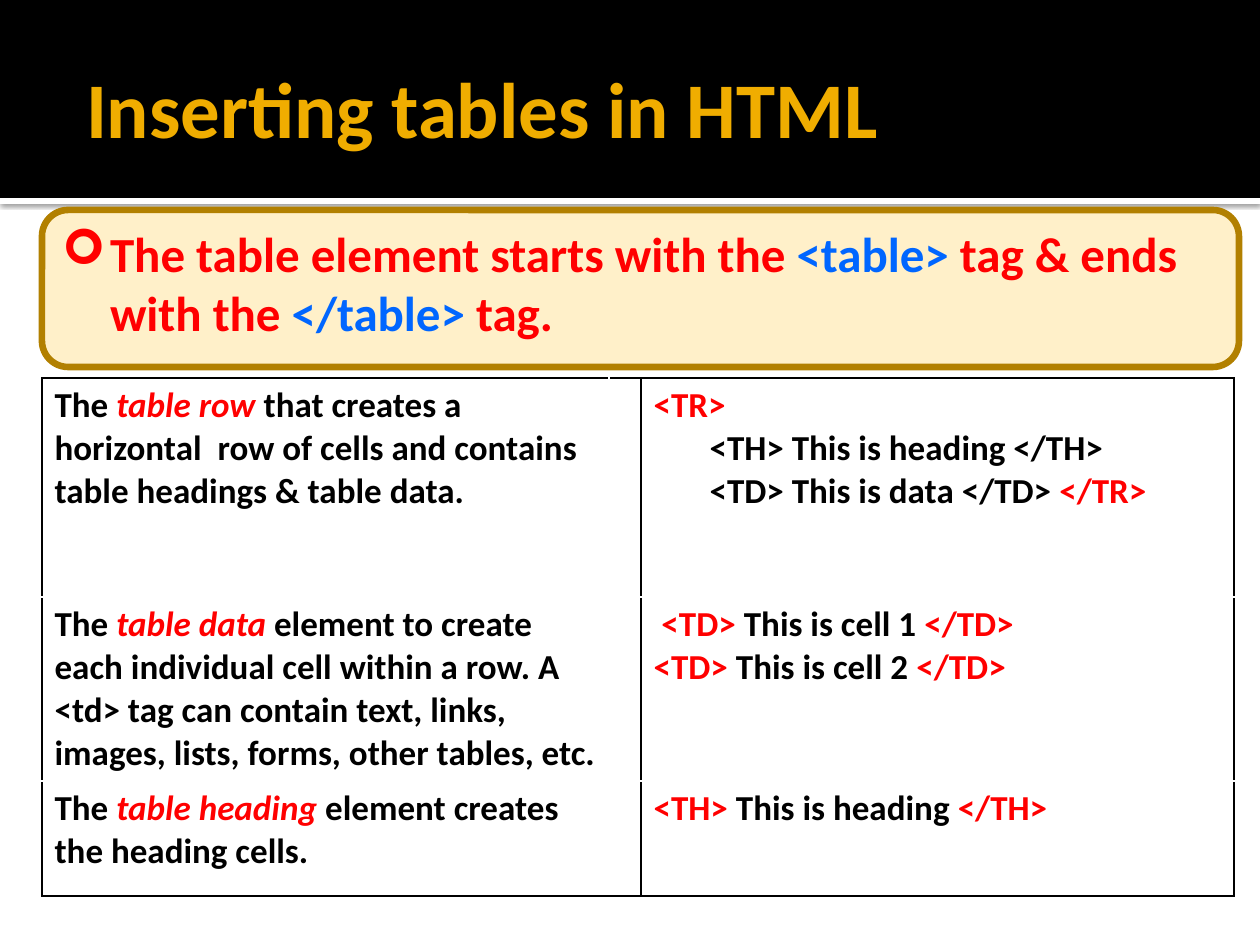
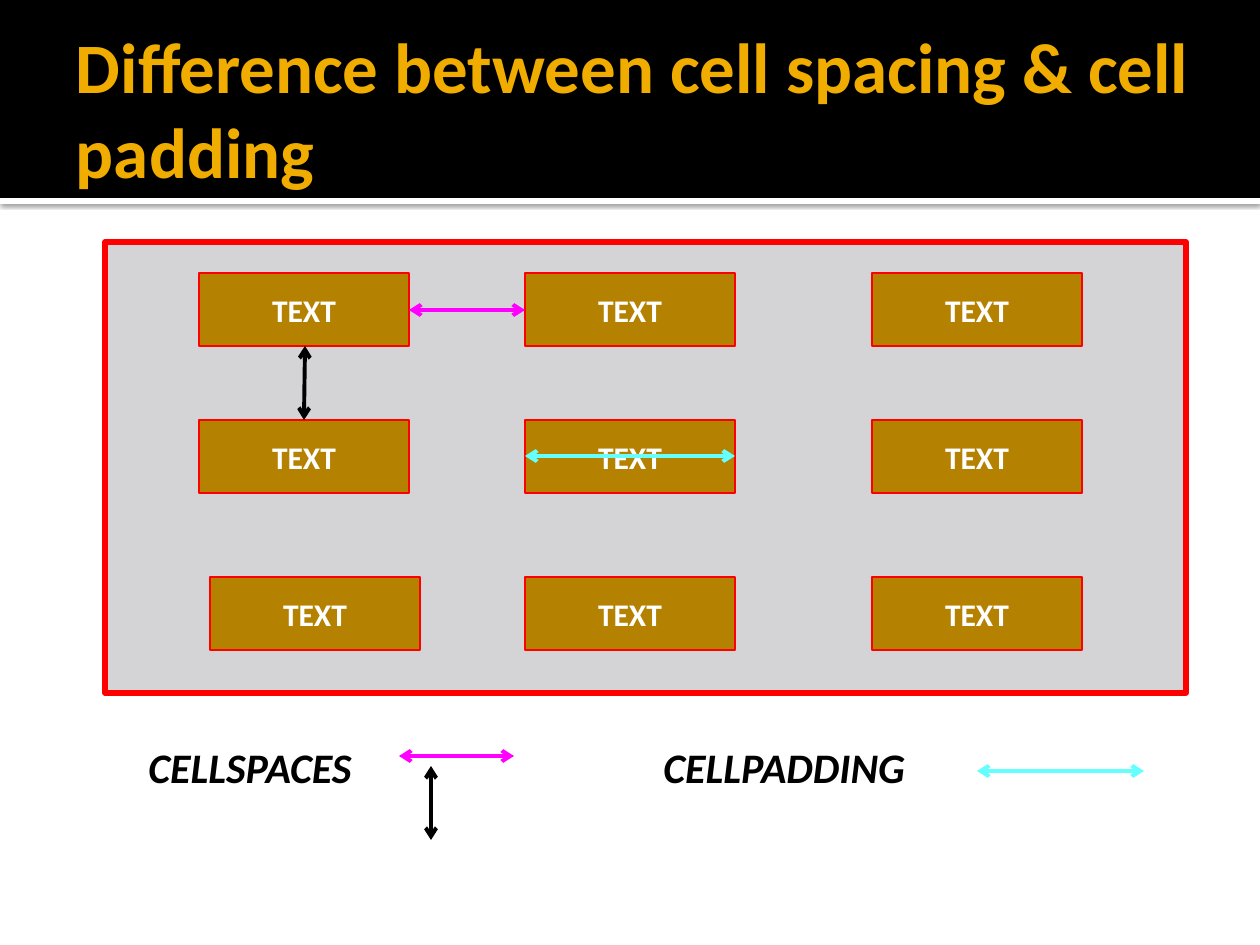
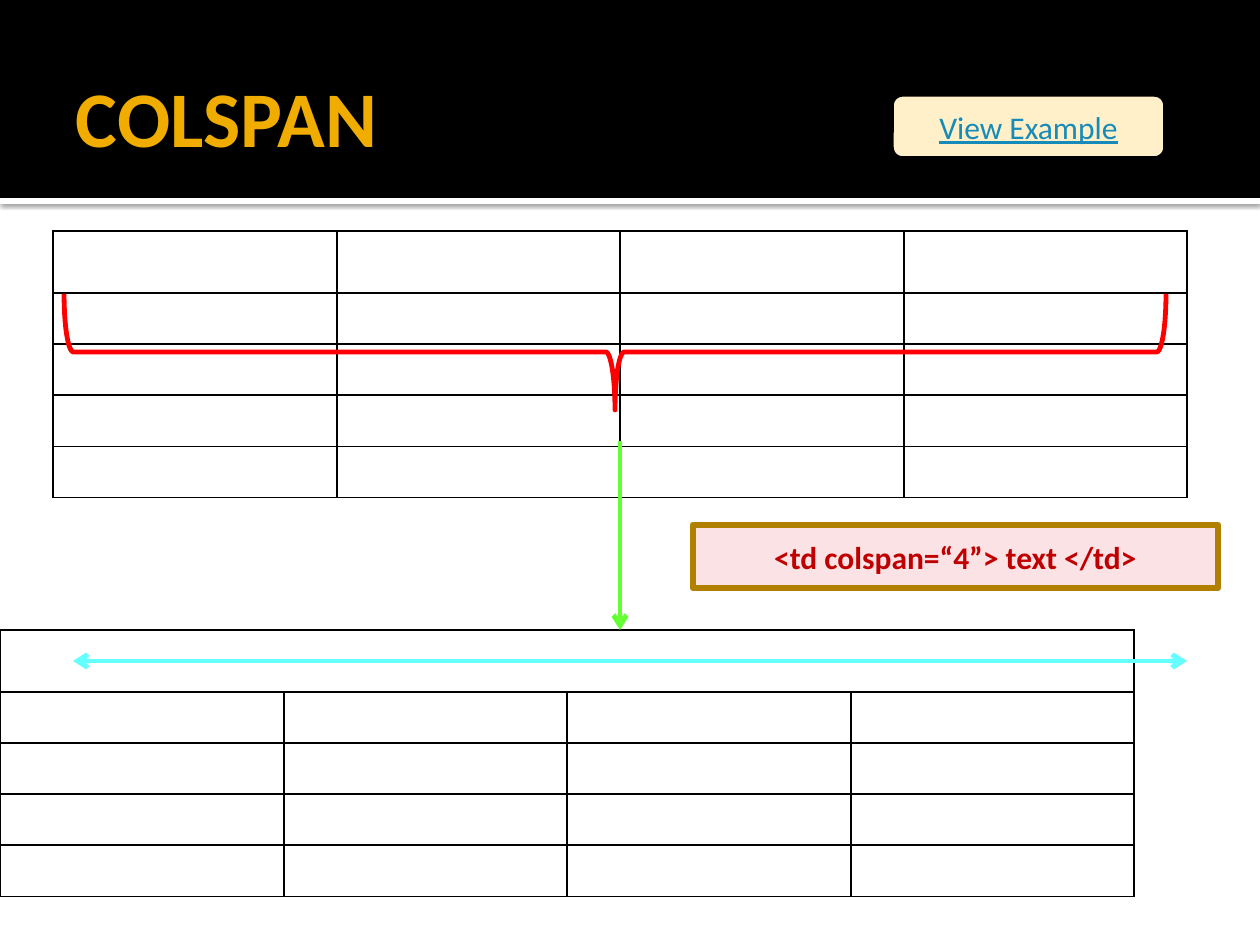
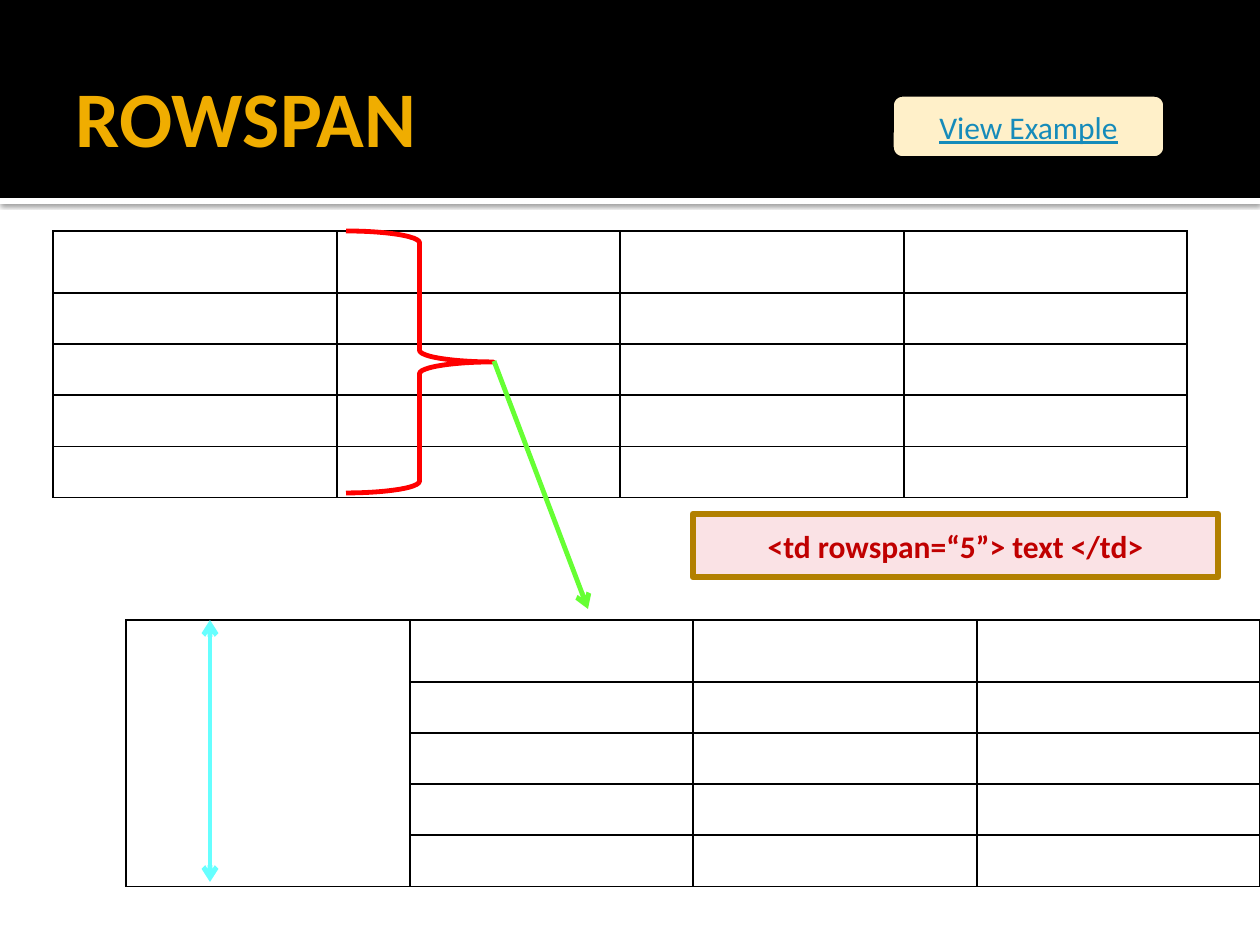
from lxml import etree
from pptx import Presentation
from pptx.dml.color import RGBColor
from pptx.enum.shapes import MSO_CONNECTOR, MSO_SHAPE
from pptx.enum.text import MSO_ANCHOR, MSO_AUTO_SIZE, PP_ALIGN
from pptx.oxml import parse_xml
from pptx.oxml.ns import nsdecls, qn
from pptx.util import Emu, Pt

RECT, ROUND, BRACE = MSO_SHAPE.RECTANGLE, MSO_SHAPE.ROUNDED_RECTANGLE, MSO_SHAPE.RIGHT_BRACE
STRAIGHT = MSO_CONNECTOR.STRAIGHT
LEFT, CENTER = PP_ALIGN.LEFT, PP_ALIGN.CENTER
TOP, MIDDLE = MSO_ANCHOR.TOP, MSO_ANCHOR.MIDDLE
NO_AUTOFIT = MSO_AUTO_SIZE.NONE

FONT = "Calibri"
COLORS = {
    "black": "000000", "white": "FFFFFF", "title": "F0AD00", "red": "FF0000",
    "blue": "0066FF", "cream": "FFF0C9", "bronze": "B28000", "cell": "B48200",
    "grey": "D4D4D6", "magenta": "FF00FF", "cyan": "66FFFF", "green": "66FF33",
    "link": "168BBA", "pink": "FAE2E5", "code": "C00000",
}
PX_PER_INCH = 126
PAGE = (1260, 945)
BAND_HEIGHT = 198
STRIPE_HEIGHT = 6

INTRO = [("The table element starts with the ", "red"), ("<table> ", "blue"),
         ("tag & ends with the ", "red"), ("</table> ", "blue"), ("tag.", "red")]

TAG_COLUMNS = (567, 32, 593)
TAG_ROWS = (219, 184, 115)
TAG_CELLS = [
    ([[("The ",), ("table row ", "red", True),
       ("that creates a horizontal  row of cells and contains table headings & table data.",)]],
     [[("<TR>", "red")],
      [("<TH> This is heading </TH>",)],
      [("<TD> This is data </TD> ",), ("</TR>", "red")]]),
    ([[("The ",), ("table data ", "red", True),
       ("element to create each individual cell within a row. A <td> tag can contain text, "
        "links, images, lists, forms, other tables, etc.",)]],
     [[(" <TD> ", "red"), ("This is cell 1 ",), ("</TD>", "red")],
      [("<TD> ", "red"), ("This is cell 2 ",), ("</TD>", "red")]]),
    ([[("The ",), ("table heading ", "red", True), ("element creates the heading cells.",)]],
     [[("<TH> ", "red"), ("This is heading ",), ("</TH>", "red")]]),
]
NESTED_LINES = (1, 2)
NESTED_INDENT = 56

CELL_SIZE = (210, 73)
CELL_LEFTS = (199, 525, 872)
CELL_TOPS = (273, 420, 577)
LAST_ROW_SHIFT = 11
SPACING_ARROWS = [
    ((409, 310), (525, 310), "magenta"),
    ((305, 346), (304, 420), "black"),
    ((399, 756), (514, 756), "magenta"),
    ((431, 766), (431, 840), "black"),
    ((525, 456), (735, 456), "cyan"),
    ((977, 771), (1144, 771), "cyan"),
]
LEGEND = [("CELLSPACES", 136), ("CELLPADDING", 651)]

GRID_COLUMNS = (284, 283, 284, 283)
GRID_ROWS = (62, 51, 51, 51, 51)
SPANS = [
    {"title": "COLSPAN", "code": "<td colspan=“4”> text </td>", "code_top": 525,
     "grid": (0, 630), "merge_to": (0, 3), "brace": (557, -199, 116, 1102), "turn": 90,
     "pointer": ((620, 441), (620, 630)), "extent": ((73, 661), (1187, 661))},
    {"title": "ROWSPAN", "code": "<td rowspan=“5”> text </td>", "code_top": 514,
     "grid": (126, 620), "merge_to": (4, 0), "brace": (346, 231, 147, 262), "turn": 0,
     "pointer": ((494, 361), (588, 609)), "extent": ((210, 882), (210, 620))},
]


def px(length):
    return Emu(round(length * 914400 / PX_PER_INCH))


def color(name):
    return RGBColor.from_string(COLORS[name])


def write(frame, paragraphs, size=18, tint="black", bold=True, italic=False,
          underline=None, align=LEFT, anchor=TOP):
    frame.word_wrap = True
    frame.vertical_anchor = anchor
    for index, spans in enumerate(paragraphs):
        para = frame.paragraphs[0] if index == 0 else frame.add_paragraph()
        para.alignment = align
        for words, span_tint, span_italic in (
                (span + (tint, italic)[len(span) - 1:]) for span in spans):
            span = para.add_run()
            span.text = words
            font = span.font
            font.name, font.size = FONT, Pt(size)
            font.bold, font.italic, font.underline = bold, span_italic, underline
            font.color.rgb = color(span_tint)


def indent(para, left, first=0, bullet=None):
    properties = para._p.get_or_add_pPr()
    properties.set("marL", str(px(left)))
    properties.set("indent", str(px(first)))
    if bullet:
        etree.SubElement(properties, qn("a:buFont")).set("typeface", "Wingdings")
        etree.SubElement(properties, qn("a:buChar")).set("char", bullet)


def add_box(page, kind, at, fill=None, line=None, width=1):
    box = page.shapes.add_shape(kind, *map(px, at))
    box.shadow.inherit = False
    if fill:
        box.fill.solid()
        box.fill.fore_color.rgb = color(fill)
    else:
        box.fill.background()
    if line:
        box.line.color.rgb = color(line)
        box.line.width = Pt(width)
    else:
        box.line.fill.background()
    return box


def add_arrow(page, start, end, tint, width, ends=("headEnd", "tailEnd")):
    arrow = page.shapes.add_connector(STRAIGHT, *map(px, start + end))
    arrow.line.color.rgb = color(tint)
    arrow.line.width = Pt(width)
    outline = arrow.line._get_or_add_ln()
    for end_name in ends:
        etree.SubElement(outline, qn("a:" + end_name)).set("type", "arrow")
    etree.SubElement(arrow._element.spPr, qn("a:effectLst"))


def style_cell(cell, left="black", right="black", top="black", bottom="black"):
    properties = cell._tc.get_or_add_tcPr()
    for side, tint in zip("LRTB", (left, right, top, bottom)):
        properties.append(parse_xml(
            f'<a:ln{side} {nsdecls("a")} w="12700"><a:solidFill>'
            f'<a:srgbClr val="{COLORS[tint]}"/></a:solidFill></a:ln{side}>'))
    cell.fill.solid()
    cell.fill.fore_color.rgb = color("white")


def add_grid(page, left, top, columns, rows):
    grid = page.shapes.add_table(len(rows), len(columns), px(left), px(top),
                                 px(sum(columns)), px(sum(rows))).table
    grid.first_row = grid.horz_banding = False
    for column, width in zip(grid.columns, columns):
        column.width = px(width)
    for row, height in zip(grid.rows, rows):
        row.height = px(height)
    return grid


def add_plain_grid(page, left, top):
    grid = add_grid(page, left, top, GRID_COLUMNS, GRID_ROWS)
    for cell in grid.iter_cells():
        style_cell(cell)
    return grid


def add_page(deck, title, at, size=45):
    page = deck.slides.add_slide(deck.slide_layouts[5])
    heading = page.shapes.title
    heading.left, heading.top, heading.width, heading.height = map(px, at)
    frame = heading.text_frame
    frame.auto_size = NO_AUTOFIT
    frame.margin_left = px(13)
    frame.margin_top = frame.margin_right = frame.margin_bottom = px(6)
    write(frame, [[(title,)]], size=size, tint="title", anchor=MIDDLE)
    return page


def move_band_to_layout(page):
    stripe = add_box(page, RECT, (0, BAND_HEIGHT, PAGE[0], STRIPE_HEIGHT), "white")
    effects = stripe._element.spPr.find(qn("a:effectLst"))
    effects.append(parse_xml(
        f'<a:outerShdw {nsdecls("a")} blurRad="31750" dist="10160" dir="5400000">'
        f'<a:srgbClr val="{COLORS["black"]}"><a:alpha val="60000"/></a:srgbClr></a:outerShdw>'))
    band = add_box(page, RECT, (0, 0, PAGE[0], BAND_HEIGHT), "black")
    tree = page.slide_layout.shapes.element
    for position, shape in enumerate((stripe, band), start=2):
        tree.insert(position, shape._element)


def build_tags(deck):
    page = add_page(deck, "Inserting tables in HTML", (73, 21, 1134, 173))
    move_band_to_layout(page)
    intro = add_box(page, ROUND, (42, 210, 1197, 157), "cream", "bronze", 3.78)
    write(intro.text_frame, [INTRO], size=28)
    indent(intro.text_frame.paragraphs[0], 48, -48, "➢")
    grid = add_grid(page, 42, 378, TAG_COLUMNS, TAG_ROWS)
    last = len(TAG_ROWS) - 1
    for row, (meaning, example) in enumerate(TAG_CELLS):
        for column in range(len(TAG_COLUMNS)):
            style_cell(grid.cell(row, column),
                       left="white" if column == 1 else "black",
                       right="white" if column == 0 else "black",
                       top="black" if row == 0 else "white",
                       bottom="black" if row == last else "white")
        write(grid.cell(row, 0).text_frame, meaning, size=20)
        write(grid.cell(row, 2).text_frame, example, size=20)
    for line in NESTED_LINES:
        indent(grid.cell(0, 2).text_frame.paragraphs[line], NESTED_INDENT)


def build_spacing(deck):
    page = add_page(deck, "Difference between cell spacing & cell padding",
                    (63, 21, 1134, 173), size=40.5)
    add_box(page, RECT, (105, 242, 1081, 451), "grey", "red", 3)
    for row, top in enumerate(CELL_TOPS):
        for column, left in enumerate(CELL_LEFTS):
            shift = LAST_ROW_SHIFT if (row, column) == (2, 0) else 0
            box = add_box(page, RECT, (left + shift, top) + CELL_SIZE, "cell", "red", 1.5)
            write(box.text_frame, [[("TEXT",)]], tint="white", align=CENTER, anchor=MIDDLE)
    for words, left in LEGEND:
        label = page.shapes.add_textbox(*map(px, (left, 735, 409, 64)))
        write(label.text_frame, [[(words,)]], size=24, italic=True)
    for start, end, tint in SPACING_ARROWS:
        add_arrow(page, start, end, tint, 2.25)


def build_span(deck, content):
    page = add_page(deck, content["title"], (63, 38, 924, 157))
    add_plain_grid(page, 53, 231)
    merged = add_plain_grid(page, *content["grid"])
    merged.cell(0, 0).merge(merged.cell(*content["merge_to"]))
    brace = add_box(page, BRACE, content["brace"], line="red", width=2.75)
    brace.rotation = content["turn"]
    brace.adjustments[0], brace.adjustments[1] = 0.08, 0.5
    add_arrow(page, *content["pointer"], "green", 2.75, ends=("tailEnd",))
    add_arrow(page, *content["extent"], "cyan", 2.75)
    button = add_box(page, ROUND, (892, 95, 273, 63), "cream", "black", 2)
    write(button.text_frame, [[("View Example",)]], tint="link", bold=False,
          underline=True, align=CENTER, anchor=MIDDLE)
    code = add_box(page, RECT, (693, content["code_top"], 525, 63), "pink", "bronze", 3.78)
    write(code.text_frame, [[(content["code"],)]], tint="code", align=CENTER, anchor=MIDDLE)


def main():
    deck = Presentation()
    deck.slide_width, deck.slide_height = map(px, PAGE)
    build_tags(deck)
    build_spacing(deck)
    for content in SPANS:
        build_span(deck, content)
    deck.save("out.pptx")


if __name__ == "__main__":
    main()
